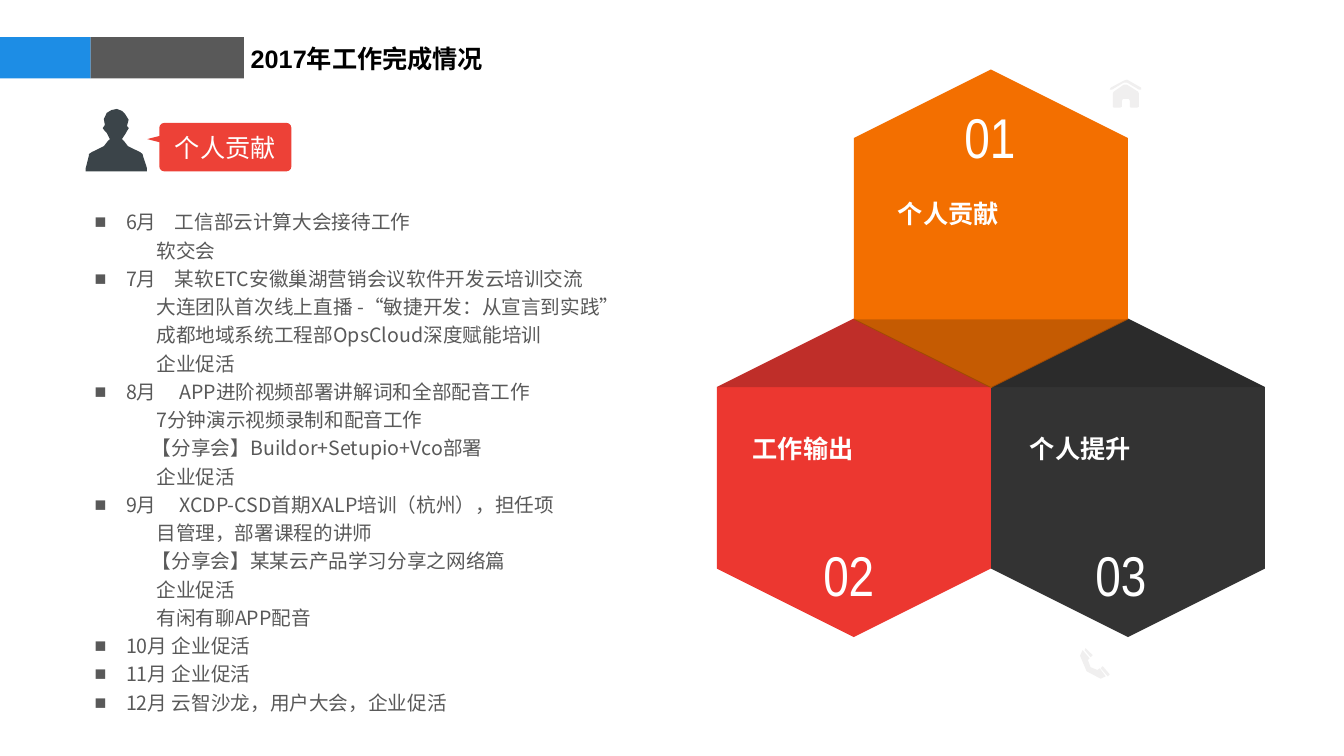
from dataclasses import dataclass

from lxml import etree
from pptx import Presentation
from pptx import util as u
from pptx.dml import color
from pptx.enum import shapes, text
from pptx.oxml import ns

Pt = u.Pt
MSO = shapes.MSO_SHAPE


@dataclass(frozen=True)
class Theme:
    blue: str = "1D8DE5"
    grey: str = "595959"
    black: str = "000000"
    white: str = "FFFFFF"
    person: str = "3B4449"
    badge: str = "ED4137"
    orange: str = "F36F00"
    red: str = "EC3730"
    dark: str = "333333"
    icon: str = "F0EFEF"
    shade: str = "0D0D0D"
    cjk: str = "Noto Sans CJK SC"
    mono: str = "Noto Sans Mono"
    latin: str = "Arial"
    narrow: str = "Arial Narrow"
    body: int = 14
    heading: int = 18
    number: int = 40


T = Theme()

# Each entry: month, text beside it, lines below it
MONTHS = [
    ("6月", "工信部云计算大会接待工作", ["软交会"]),
    ("7月", "某软ETC安徽巢湖营销会议软件开发云培训交流",
     ["大连团队首次线上直播 -“敏捷开发：从宣言到实践”",
      "成都地域系统工程部OpsCloud深度赋能培训", "企业促活"]),
    ("8月", "APP进阶视频部署讲解词和全部配音工作",
     ["7分钟演示视频录制和配音工作", "【分享会】Buildor+Setupio+Vco部署", "企业促活"]),
    ("9月", "XCDP-CSD首期XALP培训（杭州），担任项",
     ["目管理，部署课程的讲师", "【分享会】某某云产品学习分享之网络篇",
      "企业促活", "有闲有聊APP配音"]),
    ("10月", "企业促活", []),
    ("11月", "企业促活", []),
    ("12月", "云智沙龙，用户大会，企业促活", []),
]

PERSON = [
    (102.2, 111.6), (101.8, 110), (100.1, 108.7), (91.4, 104.4), (88.6, 100.8),
    (87.1, 99.4), (90, 95), (90.7, 93.6), (92, 91.5), (90.7, 90), (91.9, 85.5),
    (89.3, 81.4), (87.1, 79.2), (83.5, 77.8), (79.6, 78.6), (76.3, 80.6),
    (74.2, 85), (74.9, 89.3), (73.4, 91.5), (74.9, 93.6), (76.3, 95),
    (78.5, 99.4), (77, 100.8), (74.2, 104.4), (65.5, 108.7), (63.6, 110),
    (63.4, 111.6), (61.2, 120.2), (61.2, 122.4), (105, 122.4), (105, 120.2),
]
HOUSE = [
    (805, 60.5), (802.8, 60.5), (795.6, 65.5), (794.9, 67), (794.9, 76.3),
    (795.6, 77), (799.9, 77), (801.4, 76.3), (801.4, 72), (802.1, 70.6),
    (806.4, 70.6), (807.1, 72), (807.1, 76.3), (807.8, 77), (812.2, 77),
    (813.6, 76.3), (813.6, 67), (812.9, 65.5),
]
ROOF = [
    (815, 64.1), (813.6, 64.1), (805, 59), (802.8, 59), (794.2, 64.1),
    (792.7, 64.1), (793.4, 62.6), (802.8, 57.6), (805, 56.9), (815, 62.6),
]
HANDSET = [
    (785.5, 477.4), (783.9, 478.6), (779, 476.6), (777.1, 471.5), (778.3, 470.2),
    (773.3, 464.4), (771.5, 468.4), (776.2, 479.5), (786.2, 484.8), (789.8, 483.1),
]
MOUTHPIECE = [(792.7, 481.7), (791.3, 483.1), (786.2, 477.4), (787.7, 475.9)]
EARPIECE = [(780.5, 468), (779, 469.4), (774.7, 464.4), (775.4, 463)]

HEX_LENGTH, HEX_WIDTH = 227.5, 195.8
HEX_SHOULDER = HEX_WIDTH / 4
HEX_X, TOP_Y, LOW_Y = 707.8, 163.4, 341.3


def paint(sp, fill, opacity=None):
    sp.shadow.inherit = False
    sp.fill.solid()
    sp.fill.fore_color.rgb = color.RGBColor.from_string(fill)
    sp.line.fill.background()
    if opacity is not None:
        clr = sp.fill._xPr.find(".//" + ns.qn("a:srgbClr"))
        etree.SubElement(clr, ns.qn("a:alpha"), val=str(opacity * 1000))
    return sp


def add_preset(s, kind, x, y, w, h, fill, rotation=0):
    sp = s.shapes.add_shape(kind, Pt(x), Pt(y), Pt(w), Pt(h))
    sp.rotation = rotation
    return paint(sp, fill)


def add_outline(s, points, fill, opacity=None):
    start, *rest = [(Pt(x), Pt(y)) for x, y in points]
    builder = s.shapes.build_freeform(*start)
    builder.add_line_segments(rest, close=True)
    return paint(builder.convert_to_shape(), fill, opacity)


def style(p, size, font, fill, bold=False):
    """Set the paragraph's font, for East Asian glyphs as well."""
    p.font.size = Pt(size)
    p.font.bold = bold
    p.font.color.rgb = color.RGBColor.from_string(fill)
    p.font.name = font
    props = p._p.get_or_add_pPr().get_or_add_defRPr()
    etree.SubElement(props, ns.qn("a:ea"), typeface=T.cjk)


def add_box(s, x, y, w, h, wrap=True):
    tf = s.shapes.add_textbox(Pt(x), Pt(y), Pt(w), Pt(h)).text_frame
    tf.word_wrap = wrap
    tf.auto_size = text.MSO_AUTO_SIZE.SHAPE_TO_FIT_TEXT
    return tf


def add_label(s, words, x, y, w, h, size, font, fill, bold=False, wrap=True):
    p = add_box(s, x, y, w, h, wrap).paragraphs[0]
    p.text = words
    style(p, size, font, fill, bold)


def add_line(tf, words, margin, hanging=0, tab=None):
    """Add a list line; a hanging indent brings a square bullet."""
    p = tf.paragraphs[0] if not tf.paragraphs[0].text else tf.add_paragraph()
    p.text = words
    p.line_spacing = Pt(20.17)
    props = p._p.get_or_add_pPr()
    props.set("marL", str(Pt(margin)))
    props.set("indent", str(-Pt(hanging)))
    if hanging:
        etree.SubElement(props, ns.qn("a:buFont"), typeface=T.latin)
        etree.SubElement(props, ns.qn("a:buChar"), char="■")
    if tab:
        tabs = etree.SubElement(props, ns.qn("a:tabLst"))
        etree.SubElement(tabs, ns.qn("a:tab"), pos=str(Pt(tab)), algn="l")
    style(p, T.body, T.cjk, T.grey)


def add_months(s):
    tf = add_box(s, 60.5, 143.3, 456.5, 372.2)
    for month, words, details in MONTHS:
        if details:
            tab = 60.5 if words[0].isascii() else 57.3
            add_line(tf, f"{month}\t{words}", 22.5, 22.5, tab)
        else:
            add_line(tf, f"{month} {words}", 22.5, 22.5)
        for detail in details:
            add_line(tf, detail, 41 if detail.startswith("【") else 44.2)


def add_badge(s):
    sp = add_preset(s, MSO.ROUNDED_RECTANGLE, 113.8, 87.8, 94.3, 34.6, T.badge)
    sp.adjustments[0] = 0.1
    tf = sp.text_frame
    tf.margin_left = tf.margin_right = tf.margin_top = tf.margin_bottom = 0
    tf.vertical_anchor = text.MSO_ANCHOR.MIDDLE
    p = tf.paragraphs[0]
    p.text = "个人贡献"
    p.alignment = text.PP_ALIGN.CENTER
    style(p, T.heading, T.cjk, T.white)
    add_preset(s, MSO.ISOSCELES_TRIANGLE, 108, 93.6, 5.8, 11.5, T.badge, 270)


def add_hexagon(s, cx, cy, fill):
    add_preset(s, MSO.HEXAGON, cx - HEX_LENGTH / 2, cy - HEX_WIDTH / 2,
               HEX_LENGTH, HEX_WIDTH, fill, 270)


def add_shade(s, cx, cy, side):
    """Darken a hexagon's upper (side -1) or lower (side 1) corner."""
    tip = cy + side * HEX_LENGTH / 2
    base = tip - side * HEX_SHOULDER
    half = HEX_WIDTH / 2
    add_outline(s, [(cx, tip), (cx + half, base), (cx - half, base)], T.shade, 20)


def main():
    prs = Presentation()
    prs.slide_width, prs.slide_height = Pt(960), Pt(540)
    s = prs.slides.add_slide(prs.slide_layouts[6])

    add_preset(s, MSO.RECTANGLE, 0, 26.6, 64.8, 29.5, T.blue)
    add_preset(s, MSO.RECTANGLE, 64.8, 26.6, 109.4, 29.5, T.grey)
    add_label(s, "2017年工作完成情况", 172, 27.4, 182, 29,
              T.heading, T.latin, T.black, bold=True)
    add_outline(s, PERSON, T.person)
    add_months(s)
    add_badge(s)

    right, left = HEX_X + HEX_WIDTH / 2, HEX_X - HEX_WIDTH / 2
    hexagons = [(right, LOW_Y, T.dark, -1), (left, LOW_Y, T.red, -1),
                (HEX_X, TOP_Y, T.orange, 1)]
    for cx, cy, fill, _ in hexagons:
        add_hexagon(s, cx, cy, fill)
    for points in (HOUSE, ROOF, HANDSET, MOUTHPIECE, EARPIECE):
        add_outline(s, points, T.icon)
    for cx, cy, _, side in hexagons:
        add_shade(s, cx, cy, side)

    for number, x, y in (("01", 681.8, 69.8), ("03", 775.4, 382.3), ("02", 581, 382.3)):
        add_label(s, number, x, y, 55, 55.4, T.number, T.narrow, T.white, wrap=False)
    for words, x, y in (("个人贡献", 634.3, 138.2), ("工作输出", 530.6, 306),
                        ("个人提升", 728.6, 306)):
        add_label(s, words, x, y, 157.7, 28.8, T.heading, T.mono, T.white, bold=True)

    prs.save("out.pptx")


if __name__ == "__main__":
    main()
